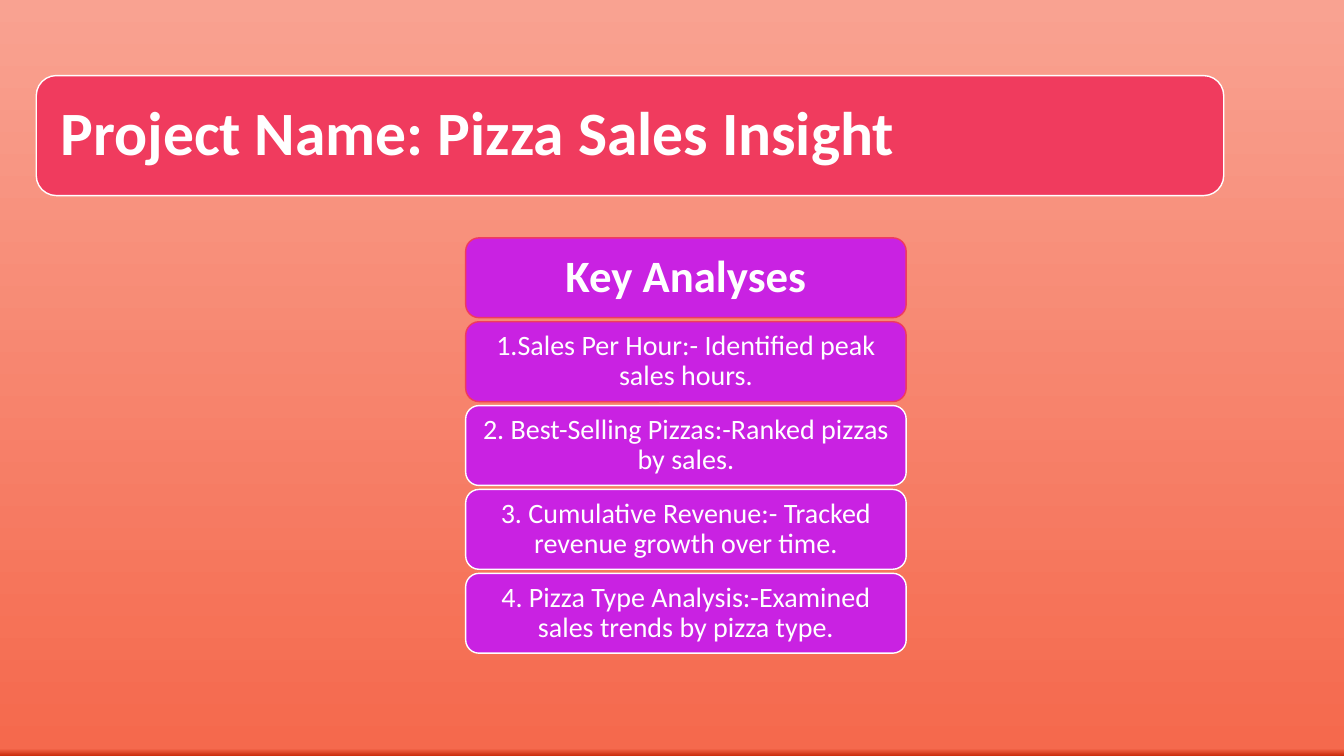
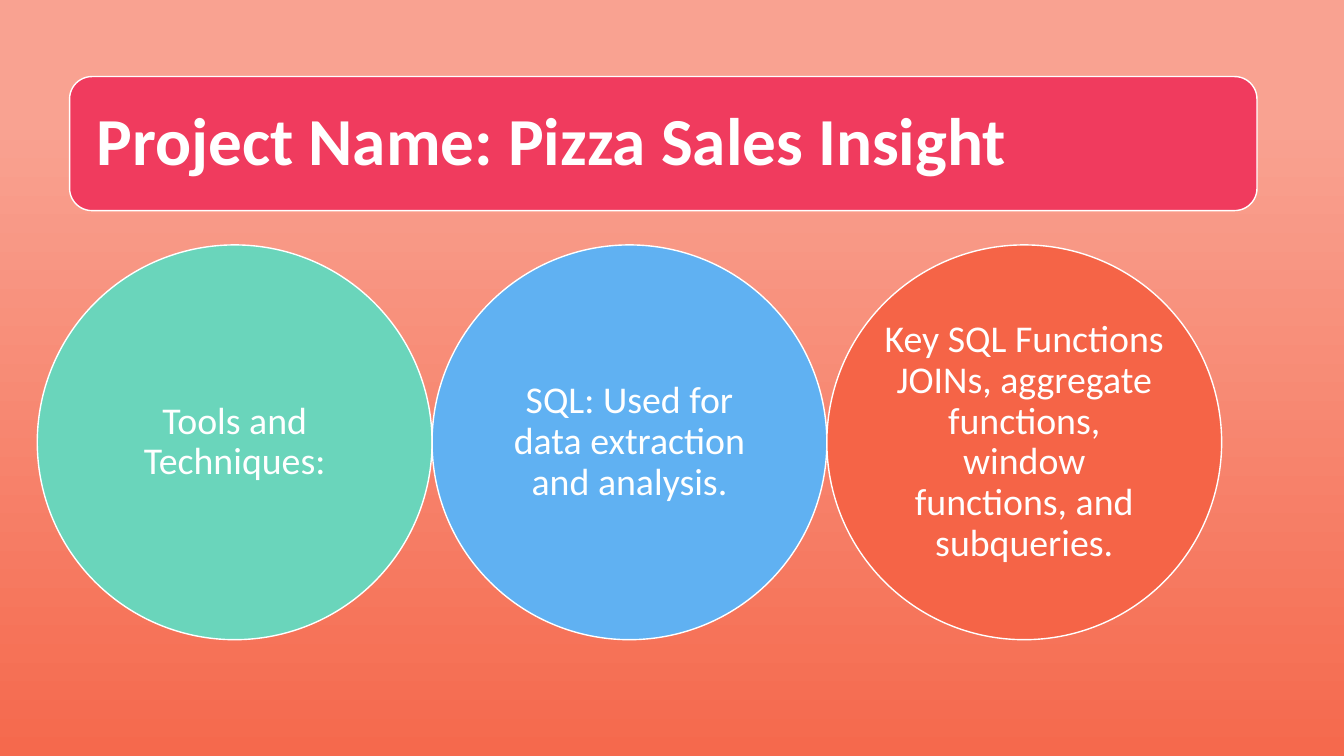
from lxml import etree
from pptx import Presentation
from pptx import util as u
from pptx.dml.color import RGBColor
from pptx.enum import shapes, text
from pptx.oxml.ns import qn

# Shared look
FONT = "Calibri"
WHITE = RGBColor(0xFF, 0xFF, 0xFF)
ROSE = RGBColor(0xF0, 0x3B, 0x5E)
PURPLE = RGBColor(0xC9, 0x22, 0xE2)
MINT = RGBColor(0x6A, 0xD5, 0xBB)
SKY = RGBColor(0x60, 0xB1, 0xF2)
ORANGE = RGBColor(0xF5, 0x64, 0x47)
BRICK = RGBColor(0xC9, 0x2B, 0x0B)
CORAL = RGBColor(0xF5, 0x69, 0x4D)
PEACH = RGBColor(0xF9, 0xA2, 0x91)

TITLE = "Project Name: Pizza Sales Insight"
ROUND = shapes.MSO_SHAPE.ROUNDED_RECTANGLE
OVAL = shapes.MSO_SHAPE.OVAL
CENTER = text.PP_ALIGN.CENTER
LEFT = text.PP_ALIGN.LEFT


def set_background(slide, stops):
    """Fill the slide from bottom to top with (percent, colour) stops."""
    fill = slide.background.fill
    fill.gradient()
    fill.gradient_angle = 90
    gs_list = next(slide.element.iter(qn("a:gsLst")))
    for gs in list(gs_list):
        gs_list.remove(gs)
    for percent, color in stops:
        gs = etree.SubElement(gs_list, qn("a:gs"), pos=str(percent * 1000))
        etree.SubElement(gs, qn("a:srgbClr"), val=str(color))


def write(sp, words, size, bold=False, align=CENTER, margins=(0, 0)):
    tf = sp.text_frame
    across, down = (u.Inches(m) for m in margins)
    frame = dict(word_wrap=True, auto_size=text.MSO_AUTO_SIZE.NONE,
                 vertical_anchor=text.MSO_ANCHOR.MIDDLE,
                 margin_left=across, margin_right=across,
                 margin_top=down, margin_bottom=down)
    for name, value in frame.items():
        setattr(tf, name, value)
    p = tf.paragraphs[0]
    p.alignment, p.line_spacing = align, 0.9
    r = p.add_run()
    r.text = words
    for name, value in dict(name=FONT, size=u.Pt(size), bold=bold).items():
        setattr(r.font, name, value)
    r.font.color.rgb = WHITE


def add_panel(slide, kind, box, fill, line=WHITE):
    sp = slide.shapes.add_shape(kind, *(u.Inches(v) for v in box))
    sp.shadow.inherit = False
    sp.fill.solid()
    sp.fill.fore_color.rgb = fill
    sp.line.color.rgb = line
    sp.line.width = u.Pt(1)
    return sp


def add_title_band(slide, box, size):
    """Rounded band with the title placeholder laid over it."""
    band = add_panel(slide, ROUND, box, ROSE)
    title = slide.shapes.title
    for name in ("left", "top", "width", "height"):
        setattr(title, name, getattr(band, name))
    write(title, TITLE, size, True, LEFT, (0.2 * box[3], 0))
    band.element.addnext(title.element)


def add_card_stack(slide, box, heading, items):
    """Heading card and one card per item, at an equal pitch down the box."""
    left, top, width, height = box
    gap = 0.04
    card = (height - gap * len(items)) / (len(items) + 1)
    for i, words in enumerate([heading, *items]):
        sp = add_panel(slide, ROUND, (left, top + i * (card + gap), width, card),
                       PURPLE, ROSE if i < 2 else WHITE)
        if i == 0:
            write(sp, words, 32, True, margins=(0.13, 0.07))
        else:
            write(sp, words, 20, margins=(0.08, 0.04))


def add_circle_row(slide, box, circles):
    """Touching circles that share the width of the box."""
    left, top, width = box
    side = width / len(circles)
    for i, (words, color) in enumerate(circles):
        sp = add_panel(slide, OVAL, (left + i * side, top, side, side), color)
        write(sp, words, 27)


def new_slide(prs, stops, band, title_size):
    slide = prs.slides.add_slide(prs.slide_layouts.get_by_name("Title Only"))
    set_background(slide, stops)
    add_title_band(slide, band, title_size)
    return slide


def main():
    prs = Presentation()
    prs.slide_width, prs.slide_height = u.Inches(13.333), u.Inches(7.5)

    # Key analyses
    s = new_slide(prs, [(0, BRICK), (1, CORAL), (100, PEACH)],
                  (0.36, 0.75, 11.78, 1.19), 44)
    add_card_stack(s, (4.62, 2.36, 4.37, 4.12), "Key Analyses", [
        "1.Sales Per Hour:- Identified peak sales hours.",
        "2. Best-Selling Pizzas:-Ranked pizzas by sales.",
        "3. Cumulative Revenue:- Tracked revenue growth over time.",
        "4. Pizza Type Analysis:-Examined sales trends by pizza type.",
    ])

    # Tools and techniques
    s = new_slide(prs, [(0, CORAL), (84, PEACH)],
                  (0.69, 0.76, 11.78, 1.33), 48)
    add_circle_row(s, (0.37, 2.43, 11.75), [
        ("Tools and Techniques:", MINT),
        ("SQL: Used for data extraction and analysis.", SKY),
        ("Key SQL Functions JOINs, aggregate functions, window functions, "
         "and subqueries.", ORANGE),
    ])

    prs.save("out.pptx")


if __name__ == "__main__":
    main()
